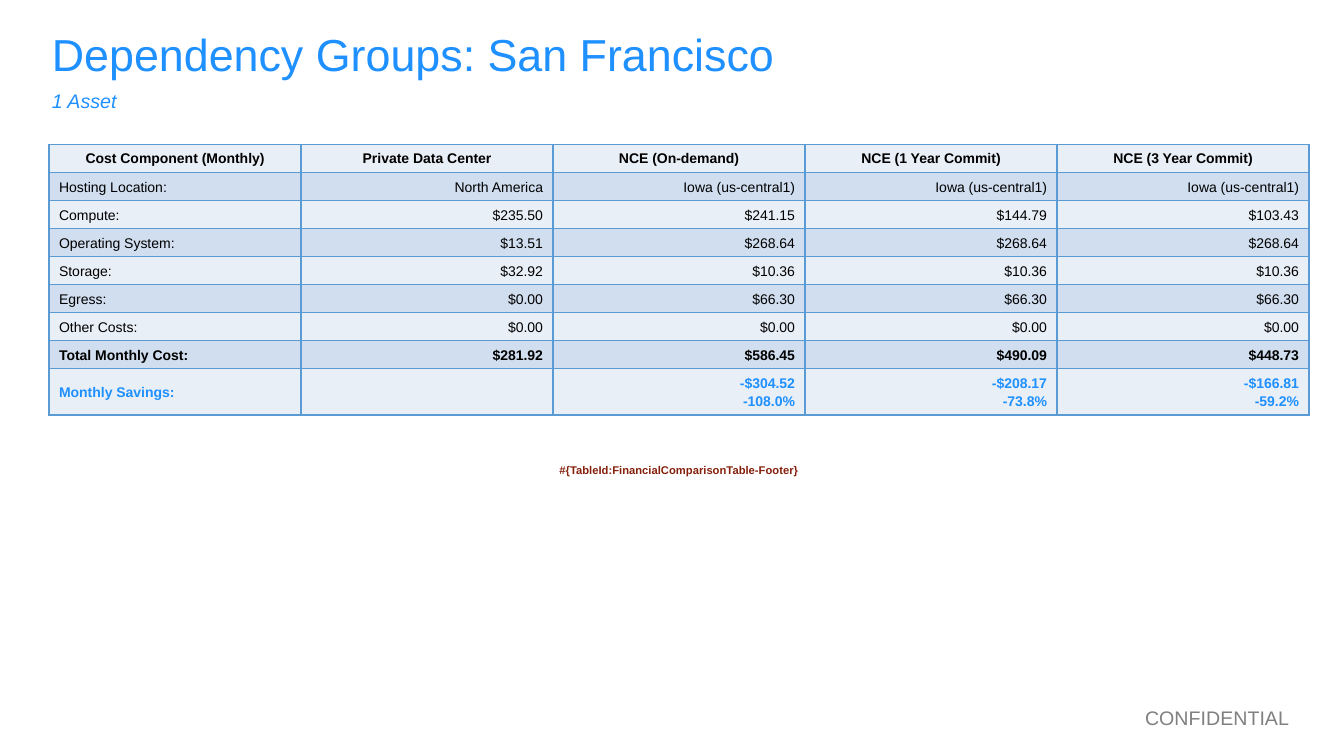
from dataclasses import dataclass
from lxml.etree import SubElement
from pptx import Presentation
from pptx.dml.color import RGBColor
from pptx.enum.text import MSO_ANCHOR, PP_ALIGN
from pptx.oxml.ns import qn
from pptx.util import Pt


@dataclass(frozen=True)
class Theme:
    """Colours and type sizes of the slide."""
    font: str = "Arial"
    accent: str = "1E90FF"
    ink: str = "000000"
    muted: str = "808080"
    footer: str = "85200C"
    border: str = "5B9BD5"
    light: str = "E9EFF7"
    dark: str = "D0DEEF"
    paper: str = "FFFFFF"
    title_size: int = 32
    label_size: int = 14
    table_size: int = 10
    footer_size: int = 8


THEME = Theme()
HEADINGS = ["Cost Component (Monthly)", "Private Data Center", "NCE (On-demand)",
            "NCE (1 Year Commit)", "NCE (3 Year Commit)"]
COSTS = [
    ["Hosting Location:", "North America"] + ["Iowa (us-central1)"] * 3,
    ["Compute:", "$235.50", "$241.15", "$144.79", "$103.43"],
    ["Operating System:", "$13.51"] + ["$268.64"] * 3,
    ["Storage:", "$32.92"] + ["$10.36"] * 3,
    ["Egress:", "$0.00"] + ["$66.30"] * 3,
    ["Other Costs:"] + ["$0.00"] * 4,
    ["Total Monthly Cost:", "$281.92", "$586.45", "$490.09", "$448.73"],
    ["Monthly Savings:", "", "-$304.52\n-108.0%", "-$208.17\n-73.8%", "-$166.81\n-59.2%"],
]
FOOTER = "#{TableId:FinancialComparisonTable-Footer}"


def write_text(frame, text, size, color, paragraph_format, **font_format):
    """Fill a text frame with one formatted paragraph per line."""
    values = {"name": THEME.font, "size": Pt(size), "bold": False, **font_format}
    for index, line in enumerate(text.split("\n")):
        paragraph = frame.add_paragraph() if index else frame.paragraphs[0]
        for name, value in paragraph_format.items():
            setattr(paragraph, name, value)
        run = paragraph.add_run()
        run.text = line
        for name, value in values.items():
            setattr(run.font, name, value)
        run.font.color.rgb = RGBColor.from_string(color)


def add_label(slide, box, text, size, color, alignment, inset, **font_format):
    """Place a line of text in a box."""
    frame = slide.shapes.add_textbox(*map(Pt, box)).text_frame
    values = {"word_wrap": True, "margin_top": Pt(inset), "margin_bottom": Pt(inset)}
    for name, value in values.items():
        setattr(frame, name, value)
    write_text(frame, text, size, color, {"alignment": alignment}, **font_format)


def style_cell(cell, fill, sides):
    """Set a cell's anchor, fill and the borders on the given sides."""
    cell.vertical_anchor = MSO_ANCHOR.MIDDLE
    properties = cell._tc.get_or_add_tcPr()
    for side in "LRTB":
        line = SubElement(properties, qn(f"a:ln{side}"), w=str(Pt(1)))
        if side in sides:
            color = SubElement(line, qn("a:solidFill"))
            SubElement(color, qn("a:srgbClr"), val=THEME.border)
        else:
            SubElement(line, qn("a:noFill"))
    cell.fill.solid()
    cell.fill.fore_color.rgb = RGBColor.from_string(fill)


def add_cost_table(slide, box):
    """Place the cost comparison with its spacer and footer rows."""
    rows = [HEADINGS] + COSTS
    spacer, footer = len(rows), len(rows) + 1
    table = slide.shapes.add_table(footer + 1, len(HEADINGS), *map(Pt, box)).table
    table.first_row = table.horz_banding = False
    for row_index, row in enumerate(rows):
        heading = row_index == 0
        for column, text in enumerate(row):
            cell = table.cell(row_index, column)
            style_cell(cell, THEME.dark if row_index % 2 else THEME.light, "LRTB")
            if not text:
                continue
            body_alignment = PP_ALIGN.RIGHT if column else PP_ALIGN.LEFT
            paragraph_format = {"alignment": PP_ALIGN.CENTER if heading else body_alignment,
                                "line_spacing": 1.0 if heading else 1.15}
            color = THEME.accent if row_index == spacer - 1 else THEME.ink
            write_text(cell.text_frame, text, THEME.table_size, color, paragraph_format,
                       bold=heading or row_index >= spacer - 2)
    for row_index, sides in ((spacer, "T"), (footer, "")):
        for column in range(len(HEADINGS)):
            style_cell(table.cell(row_index, column), THEME.paper, sides)
        table.cell(row_index, 0).merge(table.cell(row_index, len(HEADINGS) - 1))
    write_text(table.cell(footer, 0).text_frame, FOOTER, THEME.footer_size, THEME.footer,
               {"alignment": PP_ALIGN.CENTER, "line_spacing": 1.15}, bold=True)


def add_heading(slide, box):
    """Place the title and the subtitle below it."""
    left, top, width, height = box
    add_label(slide, box, "Dependency Groups: San Francisco", THEME.title_size,
              THEME.accent, PP_ALIGN.LEFT, 7.2)
    add_label(slide, (left, top + 44, width, height), "1 Asset", THEME.label_size,
              THEME.accent, PP_ALIGN.LEFT, 7.2, italic=True)


def main():
    """Build and save the slide."""
    presentation = Presentation()
    presentation.slide_width, presentation.slide_height = Pt(960), Pt(540)
    slide = presentation.slides.add_slide(presentation.slide_layouts[6])
    add_cost_table(slide, (35, 103, 900, 220))
    add_label(slide, (768, 500.4, 160, 24.5), "CONFIDENTIAL", THEME.label_size,
              THEME.muted, PP_ALIGN.RIGHT, 3.6)
    add_heading(slide, (30, 12, 900, 63))
    presentation.save("out.pptx")


if __name__ == "__main__":
    main()
